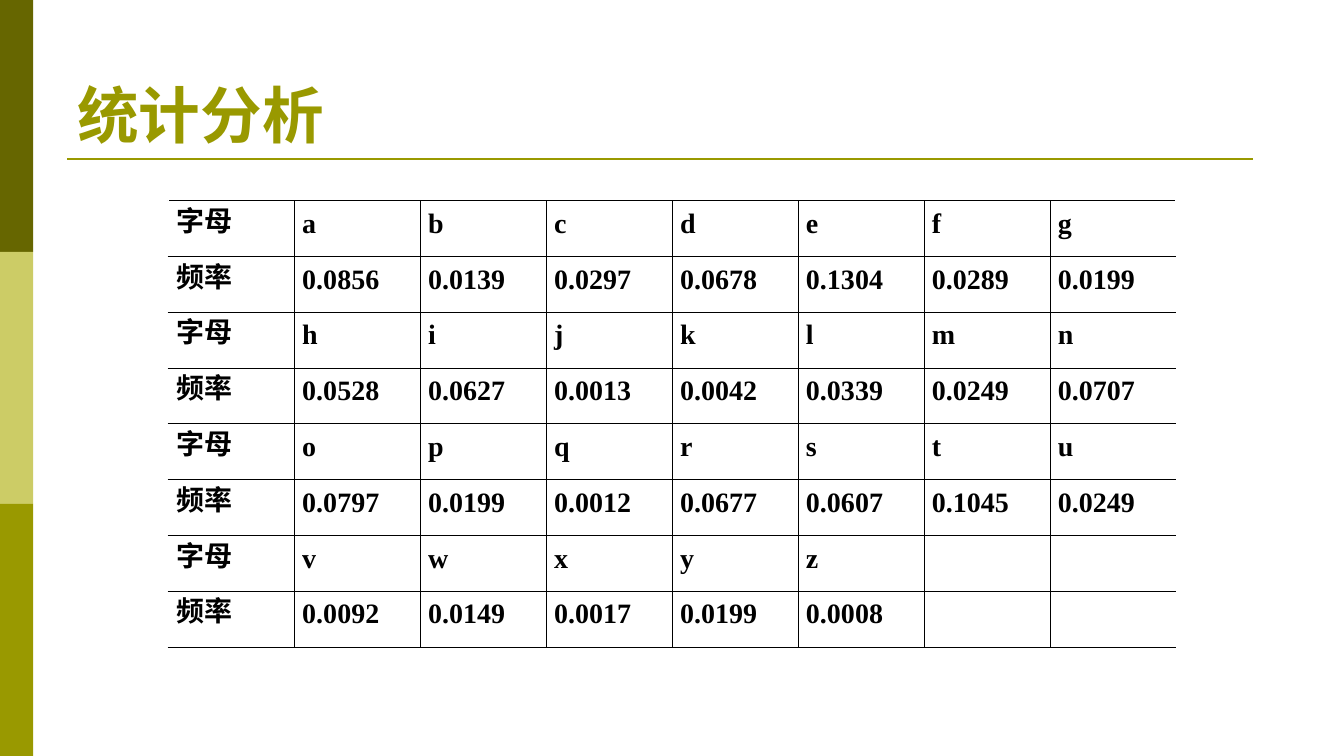
from lxml.etree import SubElement
from pptx import Presentation
from pptx.dml.color import RGBColor
from pptx.enum.shapes import MSO_CONNECTOR, MSO_SHAPE
from pptx.enum.text import MSO_ANCHOR
from pptx.oxml.ns import qn
from pptx.util import Inches, Pt

COLORS = {"dark": "666600", "light": "CCCC66", "olive": "999900", "black": "000000"}
THICK, THIN = 0.75, 0.45


class Slide:
    font = "Times New Roman"

    def __init__(self, prs):
        self.s = prs.slides.add_slide(prs.slide_layouts[6])

    def color(self, name):
        return RGBColor.from_string(COLORS[name])

    def run(self, p, text, size, color):
        r = p.add_run()
        r.text = text
        r.font.name = self.font
        r.font.size = Pt(size)
        r.font.bold = True
        r.font.color.rgb = self.color(color)

    def rect(self, x, y, w, h, color):
        sp = self.s.shapes.add_shape(
            MSO_SHAPE.RECTANGLE, Inches(x), Inches(y), Inches(w), Inches(h))
        sp.shadow.inherit = False
        sp.fill.solid()
        sp.fill.fore_color.rgb = self.color(color)
        sp.line.fill.background()

    def line(self, x1, y1, x2, y2, color, width):
        cn = self.s.shapes.add_connector(
            MSO_CONNECTOR.STRAIGHT, Inches(x1), Inches(y1), Inches(x2), Inches(y2))
        cn.line.color.rgb = self.color(color)
        cn.line.width = Pt(width)
        SubElement(cn._element.spPr, qn("a:effectLst"))

    def title(self, x, y, w, h, text):
        tf = self.s.shapes.add_textbox(
            Inches(x), Inches(y), Inches(w), Inches(h)).text_frame
        tf.word_wrap = True
        tf.vertical_anchor = MSO_ANCHOR.BOTTOM
        self.run(tf.paragraphs[0], text, 44, "olive")

    def border(self, cell, side, width):
        ln = SubElement(cell._tc.get_or_add_tcPr(), qn(f"a:ln{side}"), w=str(Pt(width)))
        fill = SubElement(ln, qn("a:solidFill"))
        SubElement(fill, qn("a:srgbClr"), val=COLORS["black"])

    def table(self, x, y, w, h, rows):
        cols = len(rows[0])
        tbl = self.s.shapes.add_table(
            len(rows), cols, Inches(x), Inches(y), Inches(w), Inches(h)).table
        tbl.first_row = tbl.horz_banding = False
        for i, row in enumerate(rows):
            for j, text in enumerate(row):
                cell = tbl.cell(i, j)
                # Only inner vertical rules; each letter/frequency pair is framed
                if j > 0:
                    self.border(cell, "L", THIN)
                if j < cols - 1:
                    self.border(cell, "R", THIN)
                self.border(cell, "T", THIN if i % 2 else THICK)
                self.border(cell, "B", THICK if i % 2 else THIN)
                cell.fill.background()
                cell.vertical_anchor = MSO_ANCHOR.MIDDLE
                cell.margin_left = cell.margin_right = Inches(0.08)
                cell.margin_top = cell.margin_bottom = Inches(0.05)
                if text:
                    p = cell.text_frame.paragraphs[0]
                    p.line_spacing = Pt(15.6)
                    self.run(p, text, 20, "black")


def main():
    prs = Presentation()
    prs.slide_width, prs.slide_height = Inches(13.34), Inches(7.5)
    slide = Slide(prs)

    # Side bands and title rule
    for i, color in enumerate(("dark", "light", "olive")):
        slide.rect(0, 2.5 * i, 0.33, 2.5, color)
    slide.line(0.67, 1.58, 12.44, 1.58, "olive", 1.5)

    # Title
    slide.title(0.67, 0.3, 12, 1.25, "统计分析")

    # Letter frequencies, seven letters to a pair of rows
    letters = "abcdefghijklmnopqrstuvwxyz"
    freqs = """0.0856 0.0139 0.0297 0.0678 0.1304 0.0289 0.0199
               0.0528 0.0627 0.0013 0.0042 0.0339 0.0249 0.0707
               0.0797 0.0199 0.0012 0.0677 0.0607 0.1045 0.0249
               0.0092 0.0149 0.0017 0.0199 0.0008""".split()
    per_row = 7
    rows = []
    for start in range(0, len(letters), per_row):
        for label, values in (("字母", letters), ("频率", freqs)):
            part = list(values[start:start + per_row])
            rows.append([label] + part + [""] * (per_row - len(part)))
    slide.table(1.67, 1.99, 10, 4.43, rows)

    prs.save("out.pptx")


if __name__ == "__main__":
    main()
